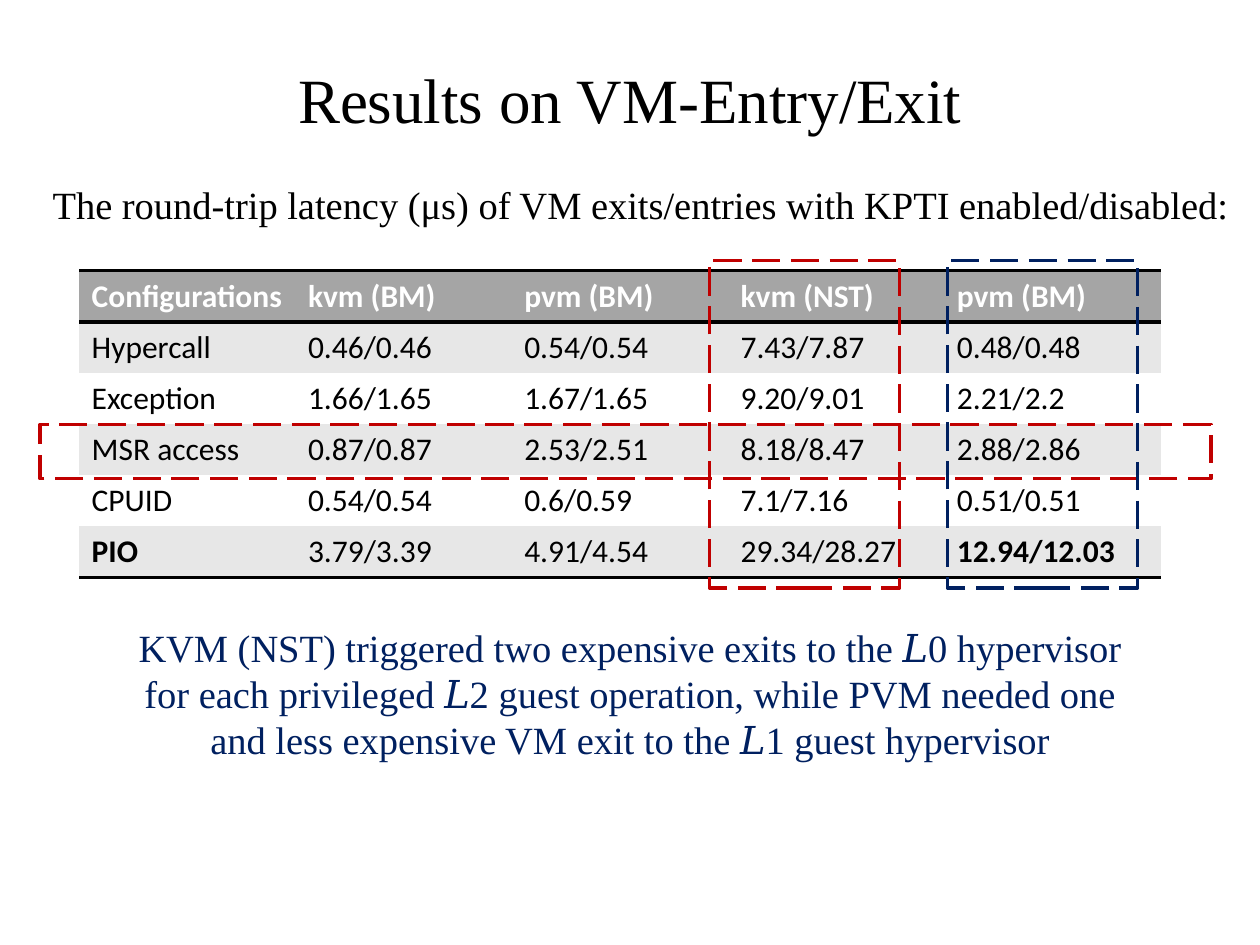
from typing import NamedTuple

from pptx import Presentation
from pptx.dml import color as col
from pptx.enum import dml, shapes, text
from pptx.oxml import ns, xmlchemy as xc
from pptx.util import Pt

BLACK = col.RGBColor(0x00, 0x00, 0x00)
WHITE = col.RGBColor(0xFF, 0xFF, 0xFF)
GRAY = col.RGBColor(0xA5, 0xA5, 0xA5)
PALE = col.RGBColor(0xE7, 0xE7, 0xE7)
NAVY = col.RGBColor(0x00, 0x20, 0x60)
RED = col.RGBColor(0xC0, 0x00, 0x00)

SERIF, SANS = "Times New Roman", "Calibri"
NO_GRID = "{2D5ABB26-0587-4C30-8999-92F81FD0307C}"
CENTER = text.PP_ALIGN.CENTER
COL_W, ROW_H = 123.6, 29.2

ROWS = [
    ["Configurations", "kvm (BM)", "pvm (BM)", "kvm (NST)", "pvm (BM)"],
    ["Hypercall", "0.46/0.46", "0.54/0.54", "7.43/7.87", "0.48/0.48"],
    ["Exception", "1.66/1.65", "1.67/1.65", "9.20/9.01", "2.21/2.2"],
    ["MSR access", "0.87/0.87", "2.53/2.51", "8.18/8.47", "2.88/2.86"],
    ["CPUID", "0.54/0.54", "0.6/0.59", "7.1/7.16", "0.51/0.51"],
    ["PIO", "3.79/3.39", "4.91/4.54", "29.34/28.27", "12.94/12.03"],
]
BOLD = {"PIO", "12.94/12.03"}


class Box(NamedTuple):
    left: float
    top: float
    width: float
    height: float

    def pts(self) -> list:
        return [Pt(v) for v in self]


class Mark(NamedTuple):
    box: Box
    color: col.RGBColor


MARKS = [
    Mark(Box(23, 242.6, 669, 31), RED),
    Mark(Box(541.4, 149, 108.7, 187), NAVY),
    Mark(Box(405.4, 149, 108.7, 187), RED),
]


def style(para, color: col.RGBColor, **form) -> None:
    """Set the font of a paragraph from format values."""
    for key, val in form.items():
        setattr(para.font, key, val)
    para.font.color.rgb = color


def add_text(slide, box: Box, words: str, color: col.RGBColor, align=None) -> None:
    frame = slide.shapes.add_textbox(*box.pts()).text_frame
    frame.word_wrap = True
    para = frame.paragraphs[0]
    para.text, para.alignment = words, align
    style(para, color, name=SERIF, size=Pt(22))


def add_rules(cell, sides: list[str]) -> None:
    """Draw black rules on the named sides of a table cell."""
    props = cell._tc.get_or_add_tcPr()
    for spot, side in enumerate(sides):
        line = xc.OxmlElement(f"a:{side}")
        line.set("w", str(Pt(2)))
        fill = xc.OxmlElement("a:solidFill")
        tint = xc.OxmlElement("a:srgbClr")
        tint.set("val", str(BLACK))
        fill.append(tint)
        line.append(fill)
        props.insert(spot, line)


def add_grid(slide, left: float, top: float) -> None:
    rows, cols = len(ROWS), len(ROWS[0])
    box = Box(left, top, cols * COL_W, rows * ROW_H)
    table = slide.shapes.add_table(rows, cols, *box.pts()).table
    table._tbl.tblPr.find(ns.qn("a:tableStyleId")).text = NO_GRID
    for part in table.columns:
        part.width = Pt(COL_W)
    for r, row in enumerate(ROWS):
        table.rows[r].height = Pt(ROW_H)
        head = r == 0
        fill = GRAY if head else PALE if r % 2 else WHITE
        sides = ["lnT", "lnB"] if head else ["lnB"] if r == rows - 1 else []
        for c, words in enumerate(row):
            cell = table.cell(r, c)
            cell.text = words
            cell.fill.solid()
            cell.fill.fore_color.rgb = fill
            style(cell.text_frame.paragraphs[0], WHITE if head else BLACK,
                  name=SANS, size=Pt(18), bold=head or words in BOLD)
            add_rules(cell, sides)


def add_mark(slide, mark: Mark) -> None:
    """Outline a row or column with a dashed frame."""
    rect = slide.shapes.add_shape(shapes.MSO_SHAPE.RECTANGLE, *mark.box.pts())
    rect.shadow.inherit = False
    rect.fill.background()
    rect.line.color.rgb = mark.color
    rect.line.width = Pt(2)
    rect.line.dash_style = dml.MSO_LINE.LONG_DASH


def main() -> None:
    deck = Presentation()
    deck.slide_width, deck.slide_height = Pt(720), Pt(540)
    slide = deck.slides.add_slide(deck.slide_layouts[5])

    # Title
    title = slide.shapes.title
    title.left, title.top, title.width, title.height = Box(0, 31, 720, 50).pts()
    title.text_frame.text = "Results on VM-Entry/Exit"
    title.text_frame.vertical_anchor = text.MSO_ANCHOR.MIDDLE
    para = title.text_frame.paragraphs[0]
    para.alignment = CENTER
    style(para, BLACK, name=SERIF, size=Pt(36))

    # Caption, results and finding
    add_text(slide, Box(23, 100, 697, 34),
             "The round-trip latency (μs) of VM exits/entries with KPTI "
             "enabled/disabled:", BLACK)
    add_grid(slide, 45.2, 154.8)
    add_text(slide, Box(70, 353, 580, 87),
             "KVM (NST) triggered two expensive exits to the 𝐿0 hypervisor "
             "for each privileged 𝐿2 guest operation, while PVM needed one "
             "and less expensive VM exit to the 𝐿1 guest hypervisor",
             NAVY, CENTER)

    # Highlights
    for mark in MARKS:
        add_mark(slide, mark)

    deck.save("out.pptx")


if __name__ == "__main__":
    main()
